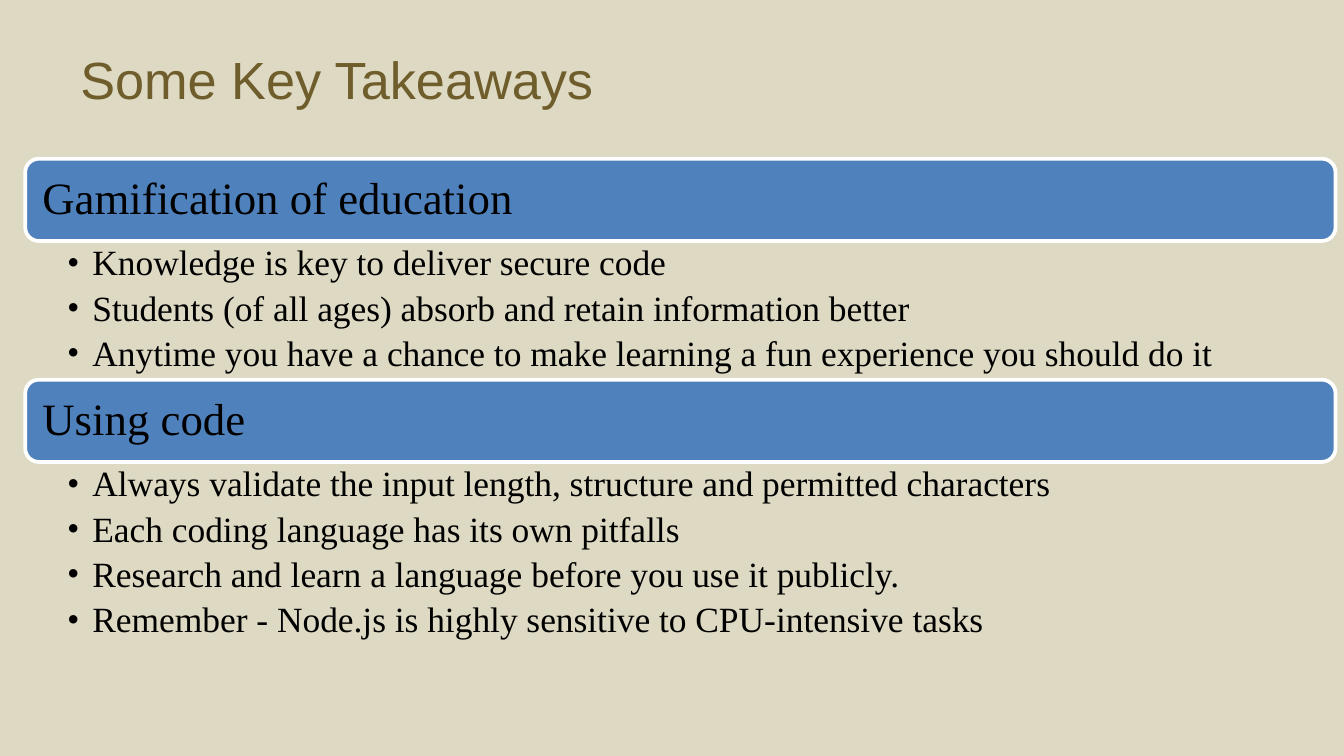
from pptx import Presentation
from pptx.dml.color import RGBColor as RGB
from pptx.enum.shapes import MSO_SHAPE as SHAPE
from pptx.enum.text import MSO_ANCHOR as ANCHOR, PP_ALIGN as ALIGN
from pptx.oxml.ns import qn
from pptx.util import Pt
from lxml import etree

PX = 5715  # EMU per px, 160 px to the inch
COLORS = {"background": "DDD9C3", "title": "6F5D2B", "bar": "4F81BD",
          "outline": "FFFFFF", "text": "000000"}
SECTIONS = [
    ("Gamification of education", [
        "Knowledge is key to deliver secure code",
        "Students (of all ages) absorb and retain information better",
        "Anytime you have a chance to make learning a fun experience you should do it",
    ]),
    ("Using code", [
        "Always validate the input length, structure and permitted characters",
        "Each coding language has its own pitfalls",
        "Research and learn a language before you use it publicly.",
        "Remember - Node.js is highly sensitive to CPU-intensive tasks",
    ]),
]
LEFT, WIDTH, BAR_HEIGHT = 30, 1560, 98
BULLET_INDENT = 30


def box(left, top, width, height):
    return [n * PX for n in (left, top, width, height)]


def style(paragraph, font_name, size, color):
    paragraph.alignment = ALIGN.LEFT
    for run in paragraph.runs:
        run.font.name = font_name
        run.font.size = Pt(size)
        run.font.color.rgb = RGB.from_string(COLORS[color])


prs = Presentation()
prs.slide_width, prs.slide_height = 1600 * PX, 900 * PX
slide = prs.slides.add_slide(prs.slide_layouts[6])
slide.background.fill.solid()
slide.background.fill.fore_color.rgb = RGB.from_string(COLORS["background"])

# Title
title = slide.shapes.add_textbox(*box(80, 18, 1440, 150)).text_frame
title.word_wrap = True
title.vertical_anchor = ANCHOR.MIDDLE
title.text = "Some Key Takeaways"
style(title.paragraphs[0], "Arial", 28, "title")

# Sections: a heading bar followed by its takeaways
top = 189
for heading, takeaways in SECTIONS:
    bar = slide.shapes.add_shape(SHAPE.ROUNDED_RECTANGLE,
                                 *box(LEFT, top, WIDTH, BAR_HEIGHT))
    bar.shadow.inherit = False
    bar.fill.solid()
    bar.fill.fore_color.rgb = RGB.from_string(COLORS["bar"])
    bar.line.color.rgb = RGB.from_string(COLORS["outline"])
    bar.line.width = Pt(2)
    label = bar.text_frame
    label.word_wrap = True
    label.vertical_anchor = ANCHOR.MIDDLE
    label.margin_left = label.margin_right = 16 * PX
    label.text = heading
    label.paragraphs[0].line_spacing = 0.9
    style(label.paragraphs[0], "Times New Roman", 24, "text")
    top += BAR_HEIGHT

    # Bulleted takeaways
    list_height = 54 * len(takeaways) + 3
    points = slide.shapes.add_textbox(*box(LEFT, top, WIDTH, list_height)).text_frame
    points.word_wrap = True
    points.margin_left, points.margin_right = 50 * PX, 30 * PX
    points.margin_top = points.margin_bottom = 5 * PX
    points.text = "\n".join(takeaways)
    for point in points.paragraphs:
        point.level = 1
        props = point._p.get_or_add_pPr()
        props.set("marL", str(BULLET_INDENT * PX))
        props.set("indent", str(-BULLET_INDENT * PX))
        etree.SubElement(props, qn("a:buFont")).set("typeface", "Times New Roman")
        etree.SubElement(props, qn("a:buChar")).set("char", "•")
        point.line_spacing = 0.9
        point.space_after = Pt(3.8)
        style(point, "Times New Roman", 19, "text")
    top += list_height

prs.save("out.pptx")
